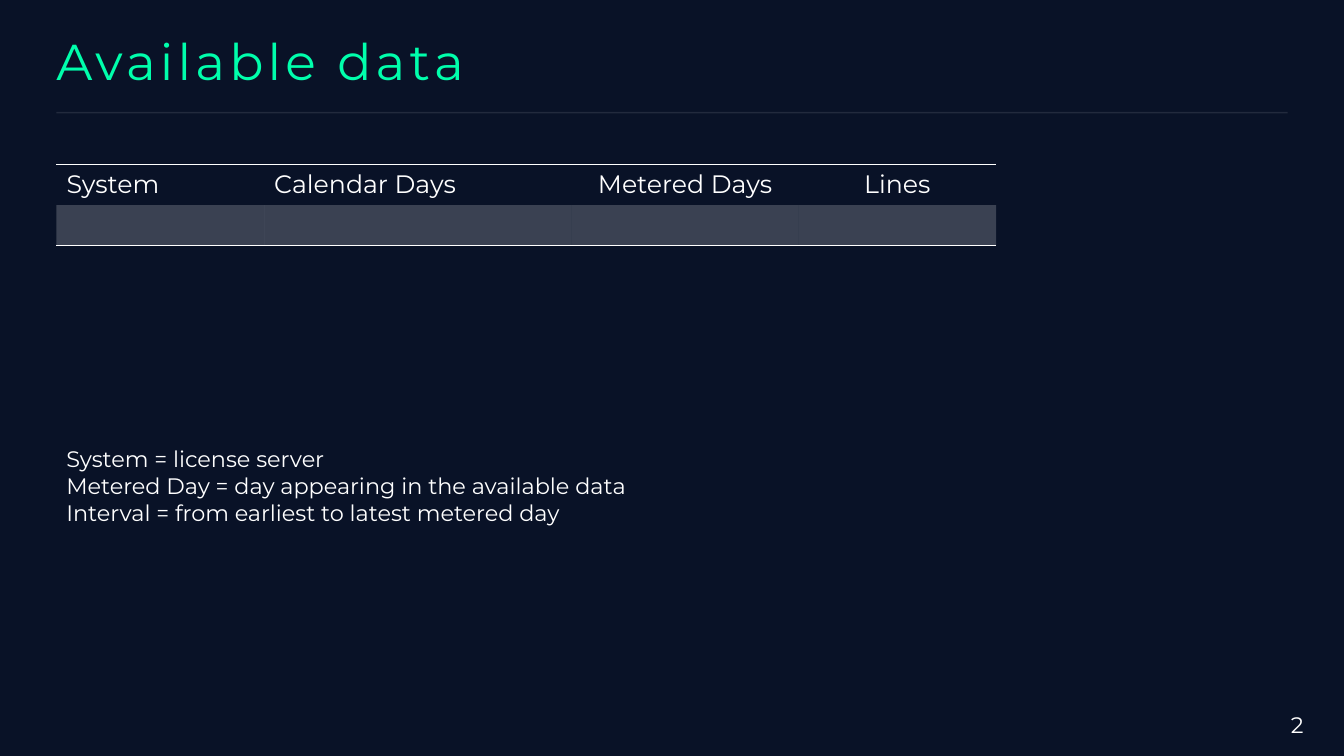
from lxml import etree
from pptx import Presentation
from pptx.dml.color import RGBColor
from pptx.enum.shapes import MSO_CONNECTOR
from pptx.enum.text import MSO_ANCHOR, PP_ALIGN
from pptx.oxml.ns import qn
from pptx.util import Inches, Pt

NAVY = RGBColor(0x09, 0x12, 0x27)
MINT = RGBColor(0x00, 0xFF, 0xAC)
WHITE = RGBColor(0xFF, 0xFF, 0xFF)
FONT = "Montserrat"
LEFT, CENTER = PP_ALIGN.LEFT, PP_ALIGN.CENTER
TOP = MSO_ANCHOR.TOP
STRAIGHT = MSO_CONNECTOR.STRAIGHT
SLIDE_W, SLIDE_H = Inches(13.33), Inches(7.5)
MARGIN = 4.2  # left and right margin, percent of slide width

HEADINGS = [("System", 206, LEFT), ("Calendar Days", 305, LEFT),
            ("Metered Days", 225, CENTER), ("Lines", 196, CENTER)]
DEFINITIONS = ["System = license server",
               "Metered Day = day appearing in the available data",
               "Interval = from earliest to latest metered day"]


def box(left, top, width, height):
    """Turn percentages of the slide's size into lengths."""
    return (int(SLIDE_W * left / 100), int(SLIDE_H * top / 100),
            int(SLIDE_W * width / 100), int(SLIDE_H * height / 100))


def style(paragraph, size, color=WHITE, align=LEFT):
    paragraph.alignment = align
    font = paragraph.font
    font.name, font.size = FONT, Pt(size)
    font.color.rgb = color


def set_opacity(properties, percent):
    color = next(properties.iter(qn("a:srgbClr")))
    etree.SubElement(color, qn("a:alpha"), val=str(percent * 1000))


def add_text(slide, area, lines, size, color=WHITE, align=LEFT):
    frame = slide.shapes.add_textbox(*area).text_frame
    frame.word_wrap = True
    frame.vertical_anchor = TOP
    frame.text = "\n".join(lines)
    for paragraph in frame.paragraphs:
        style(paragraph, size, color, align)
    return frame


def set_borders(cell, ruled_edges):
    properties = cell._tc.get_or_add_tcPr()
    for position, edge in enumerate("LRTB"):
        line = etree.Element(qn(f"a:ln{edge}"), w=str(Pt(1)))
        if edge in ruled_edges:
            fill = etree.SubElement(line, qn("a:solidFill"))
            etree.SubElement(fill, qn("a:srgbClr"), val=str(WHITE))
        else:
            etree.SubElement(line, qn("a:noFill"))
        properties.insert(position, line)


def add_header(slide, title_area, rule_area):
    # Title
    frame = add_text(slide, title_area, ["Available data"], 36, MINT)
    frame.margin_left = frame.margin_right = 0
    frame.margin_top = frame.margin_bottom = 0
    title = frame.paragraphs[0]
    title.line_spacing = 0.9
    title.runs[0].font._element.set("spc", "300")

    # Divider
    left, top, width, height = rule_area
    divider = slide.shapes.add_connector(
        STRAIGHT, left, top, left + width, top + height)
    divider.line.color.rgb = WHITE
    divider.line.width = Pt(1)
    properties = divider._element.spPr
    set_opacity(properties, 10)
    etree.SubElement(properties, qn("a:effectLst"))


def add_data_table(slide, area):
    table = slide.shapes.add_table(2, len(HEADINGS), *area).table
    table.first_row = table.horz_banding = False
    total = sum(share for _, share, _ in HEADINGS)
    for index, (heading, share, align) in enumerate(HEADINGS):
        table.columns[index].width = int(area[2] * share / total)

        # Heading cell
        heading_cell = table.cell(0, index)
        heading_cell.text = heading
        heading_cell.fill.background()
        set_borders(heading_cell, "T")

        # Empty data cell
        data_cell = table.cell(1, index)
        data_cell.fill.solid()
        data_cell.fill.fore_color.rgb = WHITE
        set_opacity(data_cell._tc.tcPr, 20)
        set_borders(data_cell, "B")

        for cell in (heading_cell, data_cell):
            style(cell.text_frame.paragraphs[0], 18, align=align)


def build_data_slide(presentation):
    slide = presentation.slides.add_slide(presentation.slide_layouts[6])
    background = slide.background.fill
    background.solid()
    background.fore_color.rgb = NAVY

    add_header(slide, box(MARGIN, 4.93, 76.74, 7.33),
               box(MARGIN, 14.9, 100 - 2 * MARGIN, 0))
    add_data_table(slide, box(MARGIN, 21.73, 69.92, 10.8))
    # Definitions and page number
    add_text(slide, box(MARGIN, 58.27, 83.8, 12.13), DEFINITIONS, 16)
    add_text(slide, box(94.22, 93.47, 4.58, 5.2), ["2"], 16, align=CENTER)


presentation = Presentation()
presentation.slide_width, presentation.slide_height = SLIDE_W, SLIDE_H
build_data_slide(presentation)
presentation.save("out.pptx")
